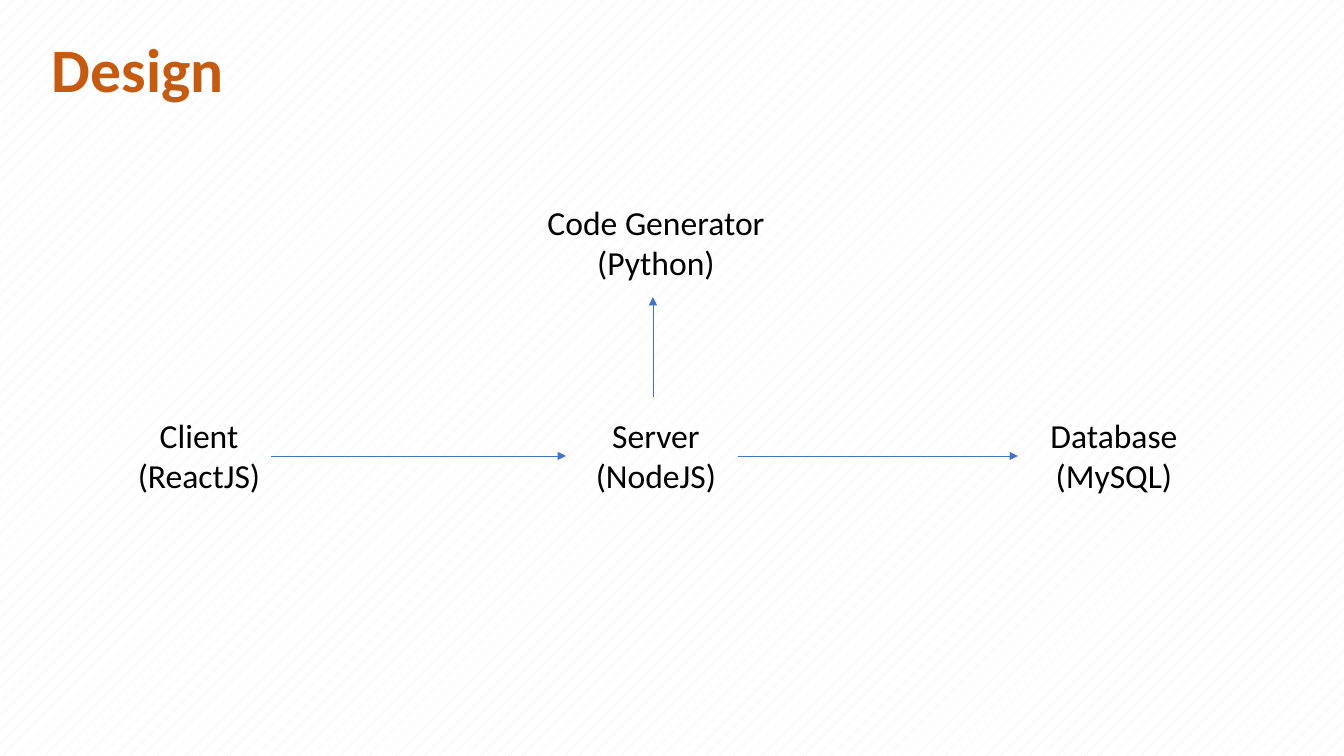
"""Build the Design slide: client, server, code generator and database joined by arrows."""
from lxml import etree
from pptx import Presentation
from pptx.dml.color import RGBColor
from pptx.enum.dml import MSO_PATTERN
from pptx.enum.shapes import MSO_CONNECTOR
from pptx.enum.text import MSO_ANCHOR, MSO_AUTO_SIZE, PP_ALIGN
from pptx.oxml.ns import qn
from pptx.util import Pt

TITLE = "Design"
TITLE_AREA = (0, 0, 866, 146)
TITLE_INDENT = 52
BOX_HEIGHT = 92
COMPONENTS = {
    "client": (["Client", "(ReactJS)"], 199, 410, 144),
    "server": (["Server", "(NodeJS)"], 656, 410, 142),
    "generator": (["Code Generator", "(Python)"], 656, 197, 240),
    "database": (["Database", "(MySQL)"], 1114, 410, 148),
}
ARROWS = [
    ((271, 456), (566, 456), "client"),
    ((653, 397), (653, 297), None),
    ((738, 456), (1018, 456), None),
]
COLORS = {"title": "C55A11", "text": "000000", "arrow": "4472C4",
          "pattern": "E7E6E6", "page": "FFFFFF"}
FONT = "Calibri"
RIGHT_SIDE = 3
PERCENT_5 = MSO_PATTERN.PERCENT_5
STRAIGHT = MSO_CONNECTOR.STRAIGHT
MIDDLE, TOP = MSO_ANCHOR.MIDDLE, MSO_ANCHOR.TOP
LEFT, CENTER = PP_ALIGN.LEFT, PP_ALIGN.CENTER
NO_RESIZE = MSO_AUTO_SIZE.NONE


def px(*lengths):
    return [round(length * 914400 / 100.8) for length in lengths]


def color(name):
    return RGBColor.from_string(COLORS[name])


def write(shape, lines, size, ink, align, anchor=TOP, bold=False, wrap=False, spacing=1.0):
    frame = shape.text_frame
    frame.text = "\n".join(lines)
    frame.auto_size = NO_RESIZE
    frame.word_wrap = wrap
    frame.vertical_anchor = anchor
    for para in frame.paragraphs:
        para.alignment = align
        para.line_spacing = spacing
        for span in para.runs:
            span.font.name = FONT
            span.font.size = Pt(size)
            span.font.bold = bold
            span.font.color.rgb = color(ink)


def add_arrow(page, start, end):
    arrow = page.shapes.add_connector(STRAIGHT, *px(*start, *end))
    arrow.line.color.rgb = color("arrow")
    arrow.line.width = Pt(0.5)
    outline = arrow.line._get_or_add_ln()
    etree.SubElement(outline, qn("a:tailEnd"), type="triangle")
    etree.SubElement(arrow._element.spPr, qn("a:effectLst"))
    return arrow


def main():
    deck = Presentation()
    deck.slide_width, deck.slide_height = px(1344, 756)
    page = deck.slides.add_slide(deck.slide_layouts[5])

    backdrop = page.background.fill
    backdrop.patterned()
    backdrop.pattern = PERCENT_5
    backdrop.fore_color.rgb = color("pattern")
    backdrop.back_color.rgb = color("page")

    title = page.shapes.title
    title.left, title.top, title.width, title.height = px(*TITLE_AREA)
    write(title, [TITLE], 44, "title", LEFT, anchor=MIDDLE, bold=True, wrap=True, spacing=0.9)
    title.text_frame.margin_left = px(TITLE_INDENT)[0]

    boxes = {}
    for name, (lines, center, top, width) in COMPONENTS.items():
        box = page.shapes.add_textbox(*px(center - width / 2, top, width, BOX_HEIGHT))
        write(box, lines, 24, "text", CENTER)
        boxes[name] = box

    for start, end, source in ARROWS:
        arrow = add_arrow(page, start, end)
        if source:
            arrow.begin_connect(boxes[source], RIGHT_SIDE)

    deck.save("out.pptx")


if __name__ == "__main__":
    main()
